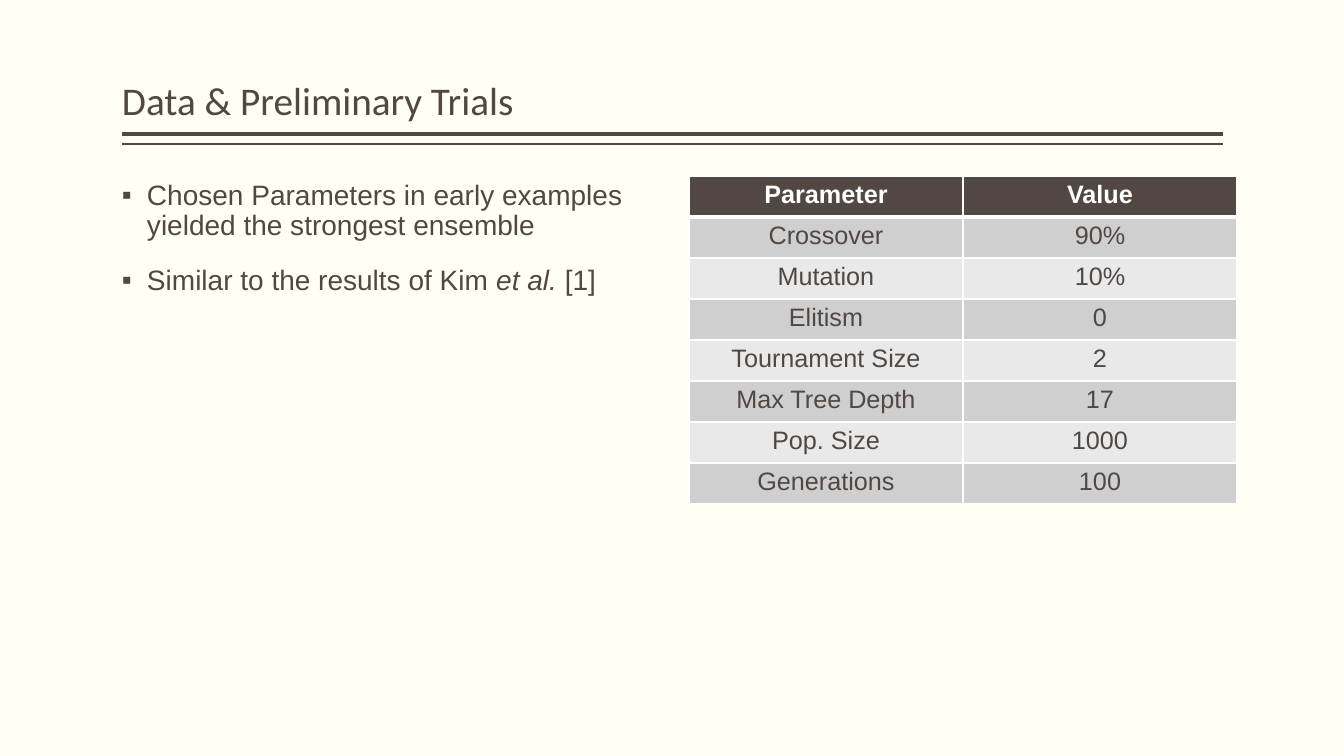
from dataclasses import dataclass

from lxml.etree import SubElement
from pptx import Presentation
from pptx.dml.color import RGBColor as RGB
from pptx.enum.shapes import MSO_CONNECTOR as Connector
from pptx.enum.text import MSO_ANCHOR as Anchor, MSO_AUTO_SIZE as AutoSize, PP_ALIGN as Align
from pptx.oxml.ns import qn
from pptx.util import Emu, Pt


@dataclass(frozen=True)
class Theme:
    paper: str = "FFFFF3"
    ink: str = "514843"
    white: str = "FFFFFF"
    bands: tuple = ("D0CFCF", "E9E9E9")
    title_font: str = "Calibri"
    body_font: str = "Arial"
    title_size: int = 28
    body_size: int = 20
    table_size: int = 18


THEME = Theme()
BULLETS = [
    [("Chosen Parameters in early examples yielded the strongest ensemble", False)],
    [("Similar to the results of Kim ", False), ("et al. ", True), ("[1]", False)],
]
PARAMETERS = [
    ("Parameter", "Value"),
    ("Crossover", "90%"),
    ("Mutation", "10%"),
    ("Elitism", "0"),
    ("Tournament Size", "2"),
    ("Max Tree Depth", "17"),
    ("Pop. Size", "1000"),
    ("Generations", "100"),
]


def px(n):
    return Emu(round(n * 12192000 / 1344))


def color(value):
    return RGB.from_string(value)


def add_run(p, text, size, font, ink=THEME.ink, bold=False, italic=False):
    r = p.add_run()
    r.text = text
    r.font.size = Pt(size)
    r.font.name = font
    r.font.color.rgb = color(ink)
    r.font.bold = bold
    r.font.italic = italic


def place(sp, left, top, width, height, anchor):
    sp.left, sp.top, sp.width, sp.height = map(px, (left, top, width, height))
    tf = sp.text_frame
    tf.margin_left = tf.margin_right = 0
    tf.margin_top = tf.margin_bottom = px(5)
    tf.word_wrap = True
    tf.auto_size = AutoSize.NONE
    tf.vertical_anchor = anchor
    return tf


def add_rule(s, y, weight):
    line = s.shapes.add_connector(Connector.STRAIGHT, px(1223), px(y), px(122), px(y))
    line.line.color.rgb = color(THEME.ink)
    line.line.width = Pt(weight)
    SubElement(line._element.spPr, qn("a:effectLst"))


def fill_title(sp, text):
    p = place(sp, 122, 8, 1101, 121, Anchor.BOTTOM).paragraphs[0]
    p.alignment = Align.LEFT
    p.line_spacing = 0.9
    add_run(p, text, THEME.title_size, THEME.title_font)


def fill_bullets(sp, items):
    tf = place(sp, 122, 176, 542, 504, Anchor.TOP)
    for i, runs in enumerate(items):
        p = tf.add_paragraph() if i else tf.paragraphs[0]
        p.alignment = Align.LEFT
        p.line_spacing = 0.9
        p.space_before = Pt(18)
        pPr = p._p.get_or_add_pPr()
        pPr.set("marL", str(px(25)))
        pPr.set("indent", str(px(-25)))
        SubElement(pPr, qn("a:buFont"), typeface=THEME.body_font)
        SubElement(pPr, qn("a:buChar"), char="▪")
        for text, italic in runs:
            add_run(p, text, THEME.body_size, THEME.body_font, italic=italic)


def set_borders(cell, top, bottom):
    tcPr = cell._tc.get_or_add_tcPr()
    for side, weight in (("L", 1), ("R", 1), ("T", top), ("B", bottom)):
        ln = SubElement(tcPr, qn(f"a:ln{side}"), w=str(Pt(weight)))
        SubElement(SubElement(ln, qn("a:solidFill")), qn("a:srgbClr"), val=THEME.white)


def add_parameter_table(s, rows):
    frame = s.shapes.add_table(len(rows), len(rows[0]), px(689), px(176), px(548), px(41 * len(rows)))
    table = frame.table
    table.horz_banding = False
    for row in table.rows:
        row.height = px(41)
    for i, values in enumerate(rows):
        header = i == 0
        fill = THEME.ink if header else THEME.bands[(i - 1) % 2]
        ink = THEME.white if header else THEME.ink
        for j, text in enumerate(values):
            cell = table.cell(i, j)
            set_borders(cell, top=3 if i == 1 else 1, bottom=3 if header else 1)
            cell.fill.solid()
            cell.fill.fore_color.rgb = color(fill)
            p = cell.text_frame.paragraphs[0]
            p.alignment = Align.CENTER
            add_run(p, text, THEME.table_size, THEME.body_font, ink, bold=header)


def main():
    prs = Presentation()
    prs.slide_width, prs.slide_height = px(1344), px(756)
    s = prs.slides.add_slide(prs.slide_layouts[1])
    s.background.fill.solid()
    s.background.fill.fore_color.rgb = color(THEME.paper)
    add_rule(s, 134, 3)
    add_rule(s, 144, 1)
    fill_title(s.shapes.title, "Data & Preliminary Trials")
    fill_bullets(s.placeholders[1], BULLETS)
    add_parameter_table(s, PARAMETERS)
    prs.save("out.pptx")


if __name__ == "__main__":
    main()
